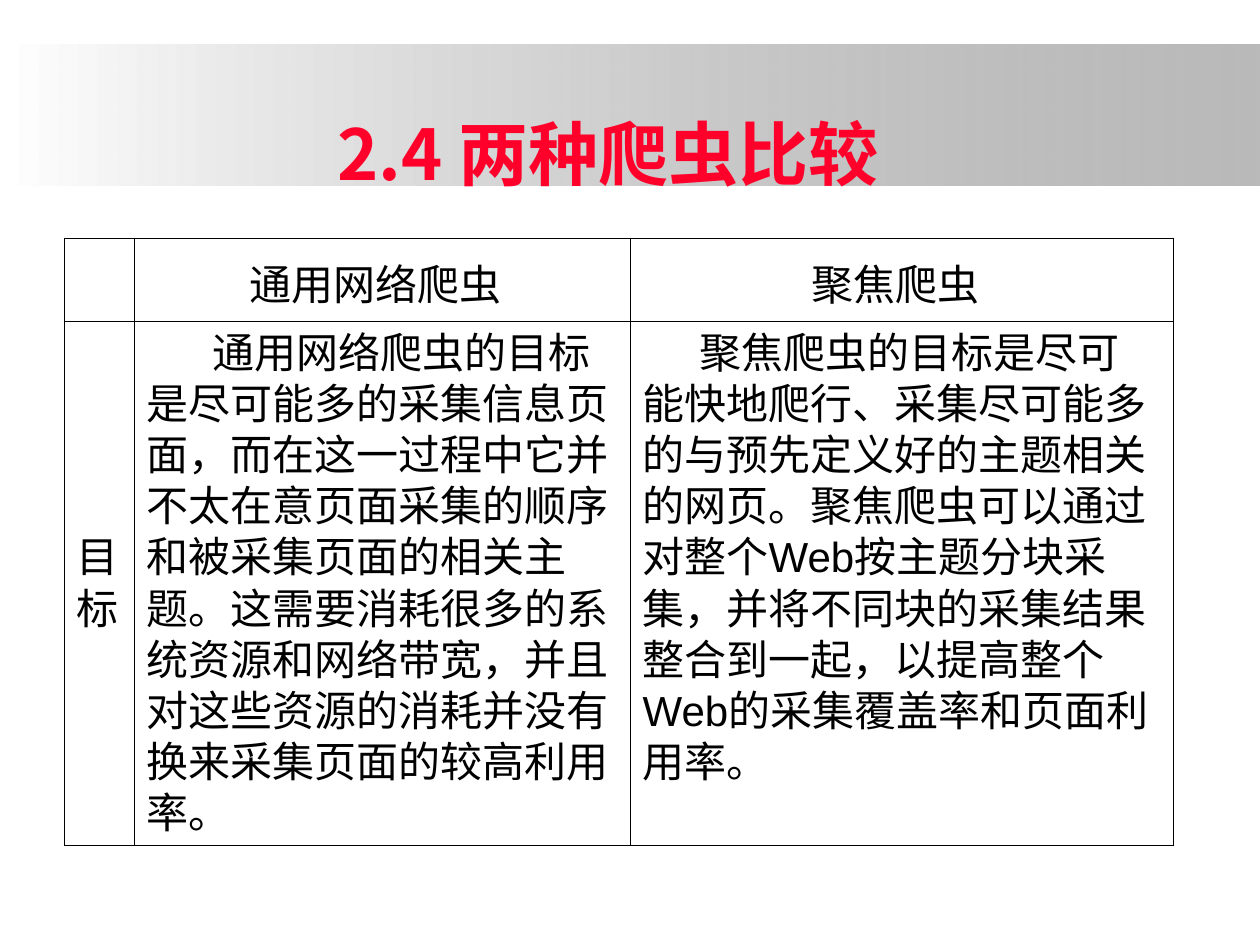
import pptx
import pptx.util
import pptx.oxml.ns
import pptx.dml.color
import pptx.enum.shapes
import pptx.enum.text
from lxml import etree

Pt = pptx.util.Pt
qn = pptx.oxml.ns.qn
RGB = pptx.dml.color.RGBColor.from_string
ALIGN = pptx.enum.text.PP_ALIGN
MIDDLE = pptx.enum.text.MSO_ANCHOR.MIDDLE

COLORS = {"title": "FF002A", "text": "000000", "border": "000000",
          "band_start": "FFFFFF", "band_end": "808080"}
BAND_END_ALPHA = 54
CJK = "Noto Sans CJK SC"
OUTER, INNER = 0.5, 0.23

HEADERS = ["", "通用网络爬虫", "聚焦爬虫"]
GOALS = [
    "目标",
    "通用网络爬虫的目标是尽可能多的采集信息页面，而在这一过程中它并不太在意页面采集的顺序和"
    "被采集页面的相关主题。这需要消耗很多的系统资源和网络带宽，并且对这些资源的消耗并没有"
    "换来采集页面的较高利用率。",
    "聚焦爬虫的目标是尽可能快地爬行、采集尽可能多的与预先定义好的主题相关的网页。聚焦爬虫"
    "可以通过对整个Web按主题分块采集，并将不同块的采集结果整合到一起，以提高整个Web的"
    "采集覆盖率和页面利用率。",
]
INDENTS = [0, 37.5, 32.2]


def format_run(r, size, color, latin, bold=False):
    r.font.size = Pt(size)
    r.font.bold = bold
    r.font.name = latin
    r.font.color.rgb = RGB(COLORS[color])
    etree.SubElement(r._r.get_or_add_rPr(), qn("a:ea"), typeface=CJK)


def add_band(s, x, y, w, h):
    """Gradient band behind the title."""
    sp = s.shapes.add_shape(pptx.enum.shapes.MSO_SHAPE.RECTANGLE,
                            Pt(x), Pt(y), Pt(w), Pt(h))
    sp.shadow.inherit = False
    sp.line.fill.background()
    sp.fill.gradient()
    sp.fill.gradient_angle = 0
    for stop, name in zip(sp.fill.gradient_stops, ("band_start", "band_end")):
        stop.color.rgb = RGB(COLORS[name])
    end_color = sp._element.findall(".//" + qn("a:srgbClr"))[-1]
    etree.SubElement(end_color, qn("a:alpha"), val=str(BAND_END_ALPHA * 1000))
    s.shapes._spTree.insert(2, sp._element)


def place_title(s, text, x, y, w, h):
    sp = s.shapes.title
    sp.left, sp.top, sp.width, sp.height = Pt(x), Pt(y), Pt(w), Pt(h)
    tf = sp.text_frame
    tf.text = text
    tf.vertical_anchor = MIDDLE
    p = tf.paragraphs[0]
    p.alignment = ALIGN.CENTER
    p.line_spacing = 0.9
    format_run(p.runs[0], 40, "title", CJK, bold=True)


def set_borders(cell, widths):
    tcPr = cell._tc.get_or_add_tcPr()
    for side, width in zip("LRTB", widths):
        ln = etree.SubElement(tcPr, qn("a:ln" + side), w=str(Pt(width)))
        fill = etree.SubElement(ln, qn("a:solidFill"))
        etree.SubElement(fill, qn("a:srgbClr"), val=COLORS["border"])


def fill_cell(cell, text, header, indent):
    p = cell.text_frame.paragraphs[0]
    p.text = text
    p.line_spacing = 0.84
    p.space_before, p.space_after = (Pt(14.4), Pt(6.1)) if header else (Pt(10.5), Pt(4.5))
    format_run(p.runs[0], 24, "text", "Arial")
    pPr = p._p.get_or_add_pPr()
    pPr.set("hangingPunct", "0")
    if header:
        p.alignment = ALIGN.CENTER
        r = p.add_run()
        r.text = " "
        format_run(r, 33, "text", "Arial")
    elif indent:
        pPr.set("indent", str(Pt(indent)))


def add_comparison(s, rows, x, y, col_widths, row_heights):
    n_rows, n_cols = len(rows), len(col_widths)
    table = s.shapes.add_table(n_rows, n_cols, Pt(x), Pt(y),
                               Pt(sum(col_widths)), Pt(sum(row_heights))).table
    table.first_row = table.horz_banding = False
    for col, width in zip(table.columns, col_widths):
        col.width = Pt(width)
    for row, height in zip(table.rows, row_heights):
        row.height = Pt(height)
    for i, texts in enumerate(rows):
        for j, text in enumerate(texts):
            cell = table.cell(i, j)
            edges = (j == 0, j == n_cols - 1, i == 0, i == n_rows - 1)
            set_borders(cell, [OUTER if edge else INNER for edge in edges])
            cell.fill.background()
            if i == 0 or j == 0:
                cell.vertical_anchor = MIDDLE
            if text:
                fill_cell(cell, text, i == 0, INDENTS[j])


def main():
    prs = pptx.Presentation()
    prs.slide_width, prs.slide_height = Pt(720), Pt(540)
    s = prs.slides.add_slide(prs.slide_layouts.get_by_name("Title Only"))
    add_band(s, 0, 25.7, 720, 80.3)
    place_title(s, "2.4 两种爬虫比较", 42.5, 52, 610, 76)
    add_comparison(s, [HEADERS, GOALS], 36.8, 136, [40, 283.3, 310.3], [47, 268])
    prs.save("out.pptx")


if __name__ == "__main__":
    main()
